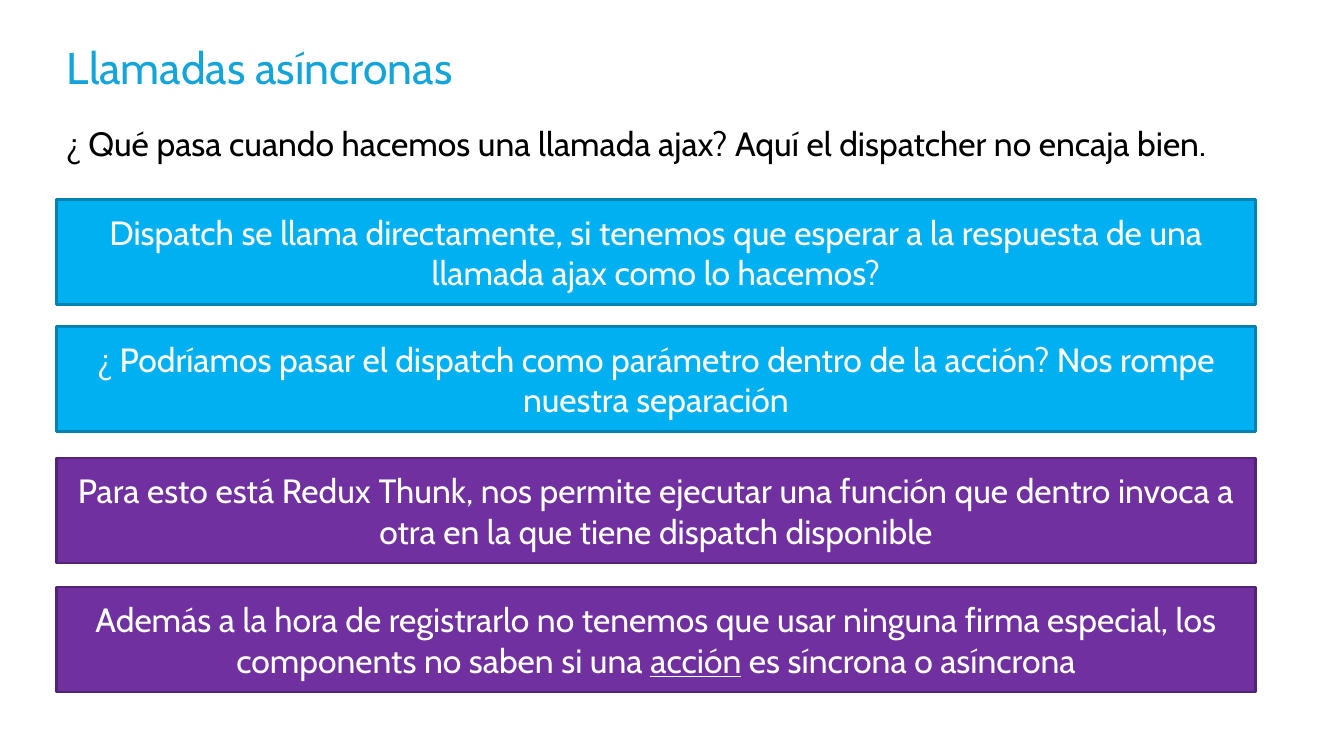
import pptx
import pptx.dml.color
import pptx.enum.shapes
import pptx.enum.text
import pptx.util

Inches = pptx.util.Inches
Align = pptx.enum.text.PP_ALIGN
Anchor = pptx.enum.text.MSO_ANCHOR

LEFT = 0.62
BOX_WIDTH, BOX_HEIGHT = 13.11, 1.15
BLUE = ("00B0F0", "0082B2")
PURPLE = ("7030A0", "532476")

# Top, (fill, line) and runs of each box; a run is a text and its underline
BOXES = [
    (2.18, BLUE, [("Dispatch se llama directamente, si tenemos que esperar a la "
                   "respuesta de una llamada ajax como lo hacemos?", False)]),
    (3.57, BLUE, [("¿ Podríamos pasar el dispatch como parámetro dentro de la "
                   "acción? Nos rompe nuestra separación", False)]),
    (5.01, PURPLE, [("Para esto está Redux Thunk, nos permite ejecutar una función "
                     "que dentro invoca a otra en la que tiene dispatch disponible",
                     False)]),
    (6.42, PURPLE, [("Además a la hora de registrarlo no tenemos que usar ninguna "
                     "firma especial, los components no saben si una ", False),
                    ("acción", True),
                    (" es síncrona o asíncrona", False)]),
]


def color(hex_string):
    return pptx.dml.color.RGBColor.from_string(hex_string)


def write_text(shape, runs, size=26.5, font_color="000000", align=Align.LEFT,
               anchor=Anchor.MIDDLE):
    """Fill the shape with one paragraph made of (text, underline) runs."""
    frame = shape.text_frame
    frame.word_wrap = True
    frame.auto_size = pptx.enum.text.MSO_AUTO_SIZE.NONE
    frame.vertical_anchor = anchor
    frame.margin_left = frame.margin_right = Inches(0.1)
    frame.margin_top = frame.margin_bottom = Inches(0.05)
    paragraph = frame.paragraphs[0]
    paragraph.alignment = align
    paragraph.space_before = pptx.util.Pt(0)
    for text, underline in runs:
        run = paragraph.add_run()
        run.text = text
        run.font.name = "Cabin"
        run.font.size = pptx.util.Pt(size)
        run.font.color.rgb = color(font_color)
        if underline:
            run.font.underline = True


def place_title(slide, left, top, width, height):
    title = slide.shapes.title
    title.left, title.top = Inches(left), Inches(top)
    title.width, title.height = Inches(width), Inches(height)
    write_text(title, [("Llamadas asíncronas", False)], size=35, font_color="13A4D9")
    title.text_frame.margin_left = title.text_frame.margin_right = Inches(0.11)


def add_question(slide, left, top, width, height):
    question = slide.shapes.add_textbox(
        Inches(left), Inches(top), Inches(width), Inches(height))
    write_text(question, [("¿ Qué pasa cuando hacemos una llamada ajax? "
                           "Aquí el dispatcher no encaja bien.", False)],
               anchor=Anchor.TOP)
    question.text_frame.auto_size = pptx.enum.text.MSO_AUTO_SIZE.SHAPE_TO_FIT_TEXT


def add_box(slide, left, top, width, height, colors, runs):
    box = slide.shapes.add_shape(
        pptx.enum.shapes.MSO_SHAPE.RECTANGLE,
        Inches(left), Inches(top), Inches(width), Inches(height))
    fill_color, line_color = colors
    box.shadow.inherit = False
    box.fill.solid()
    box.fill.fore_color.rgb = color(fill_color)
    box.line.color.rgb = color(line_color)
    box.line.width = pptx.util.Pt(2)
    write_text(box, runs, font_color="FFFFFF", align=Align.CENTER)


def main():
    presentation = pptx.Presentation()
    presentation.slide_width = Inches(14.7)
    presentation.slide_height = Inches(8.27)
    slide = presentation.slides.add_slide(presentation.slide_layouts[5])
    place_title(slide, LEFT, 0.33, 13.36, 0.81)
    add_question(slide, LEFT, 1.3, 13.28, 0.55)
    for top, colors, runs in BOXES:
        add_box(slide, LEFT, top, BOX_WIDTH, BOX_HEIGHT, colors, runs)
    presentation.save("out.pptx")


if __name__ == "__main__":
    main()
